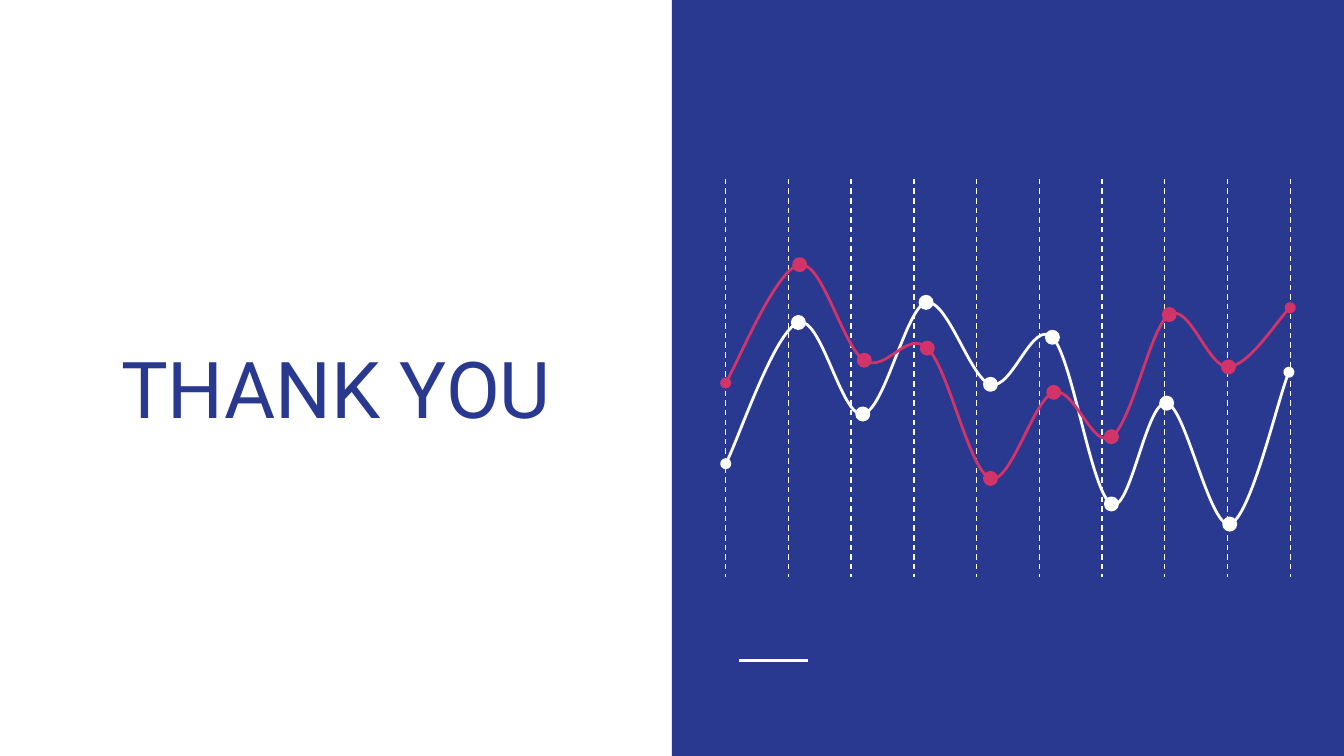
import pptx
import pptx.dml.color
import pptx.enum.dml
import pptx.enum.shapes
import pptx.enum.text
import pptx.oxml
import pptx.oxml.ns
import pptx.util

Pt = pptx.util.Pt
qn = pptx.oxml.ns.qn
BLUE = pptx.dml.color.RGBColor(0x2A, 0x39, 0x90)
RED = pptx.dml.color.RGBColor(0xD2, 0x33, 0x69)
WHITE = pptx.dml.color.RGBColor(0xFF, 0xFF, 0xFF)
DOT_SIZE = 6.5

presentation = pptx.Presentation()
presentation.slide_width = Pt(720)
presentation.slide_height = Pt(405)
slide = presentation.slides.add_slide(presentation.slide_layouts[6])
shapes = slide.shapes


def add_text(text, left, top, width, height, *, size, color, font, align, anchor, inset):
    box = shapes.add_textbox(Pt(left), Pt(top), Pt(width), Pt(height))
    frame = box.text_frame
    frame.word_wrap = True
    frame.vertical_anchor = anchor
    frame.margin_left = frame.margin_right = Pt(inset)
    frame.margin_top = frame.margin_bottom = Pt(inset)
    paragraph = frame.paragraphs[0]
    paragraph.alignment = align
    run = paragraph.add_run()
    run.text = text
    run.font.size = Pt(size)
    run.font.name = font
    run.font.color.rgb = color


def add_line(x1, y1, x2, y2, width):
    line = shapes.add_connector(
        pptx.enum.shapes.MSO_CONNECTOR.STRAIGHT, Pt(x1), Pt(y1), Pt(x2), Pt(y2))
    line.line.color.rgb = WHITE
    line.line.width = Pt(width)
    pptx.oxml.ns  # namespace names used by qn
    line._element.spPr.append(pptx.oxml.parse_xml(
        '<a:effectLst xmlns:a="http://schemas.openxmlformats.org/drawingml/2006/main"/>'))
    return line


# Blue right half and its accent line
panel = shapes.add_shape(
    pptx.enum.shapes.MSO_SHAPE.RECTANGLE, Pt(360), Pt(0), Pt(360), Pt(405))
panel.shadow.inherit = False
panel.fill.solid()
panel.fill.fore_color.rgb = BLUE
panel.line.fill.background()
add_line(396, 354, 432.7, 354, 1.5)

# Ten evenly spaced dashed grid lines
for column in range(10):
    x = 388.8 + column * 33.6
    grid_line = add_line(x, 95.8, x, 308.9, 0.75)
    grid_line.line.dash_style = pptx.enum.dml.MSO_LINE.DASH

# Title
add_text("THANK YOU", 20.9, 116.6, 318.2, 123.1, size=42, color=BLUE, font="Roboto",
         align=pptx.enum.text.PP_ALIGN.CENTER,
         anchor=pptx.enum.text.MSO_ANCHOR.BOTTOM, inset=7.2)

# Curves: a start point, then two control points and an end point per segment
white_curve = [
    (388.8, 248.4),
    (395.3, 236.2), (415.4, 177.1), (427.7, 172.8),
    (439.9, 168.5), (450.7, 223.9), (462.2, 221.8),
    (473.8, 220.3), (485.3, 164.9), (496.1, 162),
    (507.6, 159.8), (519.8, 203), (530.6, 205.9),
    (542.2, 209.5), (553, 170.6), (563.8, 180.7),
    (574.6, 191.5), (584.6, 264.2), (595.4, 270),
    (605.5, 275.8), (614.2, 213.8), (625, 216),
    (635, 217.4), (648, 283), (658.8, 280.8),
    (669.6, 277.9), (684.7, 213.1), (690.5, 199.4),
]
red_curve = [
    (388.8, 205.2),
    (395.3, 194.4), (416.2, 144), (428.4, 141.8),
    (440.6, 139.7), (451.4, 185.8), (463, 193),
    (474.5, 200.2), (486, 176.4), (496.8, 186.5),
    (508.3, 197.3), (519.1, 252), (530.6, 256.3),
    (541.4, 259.9), (553.7, 213.8), (564.5, 210.2),
    (575.3, 206.6), (585.4, 241.2), (595.4, 234),
    (606.2, 227.5), (616.3, 175), (626.4, 168.5),
    (637.2, 162), (647.3, 197.3), (658.1, 196.6),
    (668.9, 195.8), (685.4, 169.9), (691.2, 164.9),
]

for points, color in ((white_curve, WHITE), (red_curve, RED)):
    knots = points[::3]
    corners = [(Pt(x), Pt(y)) for x, y in knots]
    builder = shapes.build_freeform(*corners[0])
    builder.add_line_segments(corners[1:], close=False)
    curve = builder.convert_to_shape()
    curve.shadow.inherit = False
    curve.fill.background()
    curve.line.color.rgb = color
    curve.line.width = Pt(1.5)

    # Turn each straight segment into a cubic one
    for index, segment in enumerate(list(curve._element.iter(qn("a:lnTo")))):
        segment.tag = qn("a:cubicBezTo")
        controls = points[3 * index + 1:3 * index + 3]
        for position, (x, y) in enumerate(controls):
            control = segment.makeelement(
                qn("a:pt"), {"x": str(Pt(x) - curve.left), "y": str(Pt(y) - curve.top)})
            segment.insert(position, control)

    # Round dots at both ends
    outline = curve._element.spPr.find(qn("a:ln"))
    for end in ("a:headEnd", "a:tailEnd"):
        outline.append(outline.makeelement(qn(end), {"type": "oval"}))

    # Dots on the inner knots
    for x, y in knots[1:-1]:
        dot = shapes.add_shape(
            pptx.enum.shapes.MSO_SHAPE.OVAL, Pt(x - DOT_SIZE / 2), Pt(y - DOT_SIZE / 2),
            Pt(DOT_SIZE), Pt(DOT_SIZE))
        dot.shadow.inherit = False
        dot.fill.solid()
        dot.fill.fore_color.rgb = color
        dot.line.color.rgb = color
        dot.line.width = Pt(1.5)

presentation.save("out.pptx")
